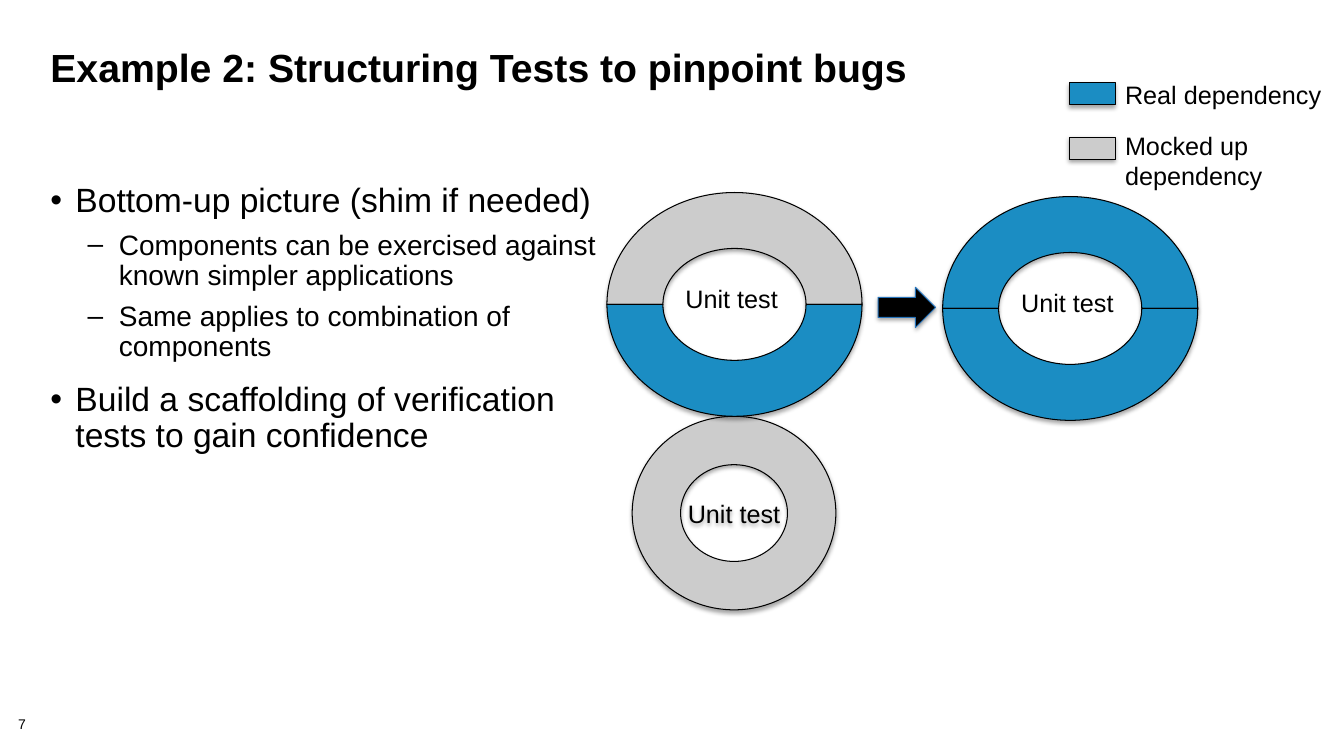
from lxml import etree
from pptx import Presentation
from pptx.dml.color import RGBColor
from pptx.enum.shapes import MSO_SHAPE
from pptx.enum.text import MSO_ANCHOR, PP_ALIGN
from pptx.oxml.ns import qn
from pptx.util import Inches, Pt

BLACK = RGBColor(0x00, 0x00, 0x00)
REAL_BLUE = RGBColor(0x1B, 0x8D, 0xC3)
MOCK_GRAY = RGBColor(0xCC, 0xCC, 0xCC)
ARROW_EDGE = RGBColor(0x26, 0x73, 0xBA)
RECTANGLE, DONUT = MSO_SHAPE.RECTANGLE, MSO_SHAPE.DONUT
BLOCK_ARC, RIGHT_ARROW = MSO_SHAPE.BLOCK_ARC, MSO_SHAPE.RIGHT_ARROW
TOP, MIDDLE = MSO_ANCHOR.TOP, MSO_ANCHOR.MIDDLE
LEFT, CENTER = PP_ALIGN.LEFT, PP_ALIGN.CENTER

RING_WIDTH, RING_HEIGHT = 2.53, 2.22
# Level: left margin, indent, bullet, size, space before
BULLET_LEVELS = [(0.25, -0.25, "•", 24, 14), (0.68, -0.31, "–", 20, 8)]
BULLETS = [
    (0, "Bottom-up picture (shim if needed)"),
    (1, "Components can be exercised against known simpler applications"),
    (1, "Same applies to combination of components"),
    (0, "Build a scaffolding of verification tests to gain confidence"),
]


def style_text(para, size, bold=False):
    for span in para.runs:
        span.font.name = "Arial"
        span.font.size = Pt(size)
        span.font.bold = bold
        span.font.color.rgb = BLACK


def add_label(page, text, left, top, width, height, size=18):
    box = page.shapes.add_textbox(Inches(left), Inches(top), Inches(width), Inches(height))
    frame = box.text_frame
    frame.word_wrap = False
    frame.text = text
    for para in frame.paragraphs:
        style_text(para, size)
    return frame


def add_shadow(shape):
    effects = etree.SubElement(shape._element.spPr, qn("a:effectLst"))
    shadow = etree.SubElement(effects, qn("a:outerShdw"), blurRad=str(Pt(3.1)),
                              dist=str(Pt(1.8)), dir="5400000", rotWithShape="0")
    color = etree.SubElement(shadow, qn("a:srgbClr"), val=str(BLACK))
    etree.SubElement(color, qn("a:alpha"), val="35000")


def add_part(page, kind, left, top, width, height, fill, edge=BLACK):
    shape = page.shapes.add_shape(kind, Inches(left), Inches(top), Inches(width), Inches(height))
    shape.fill.solid()
    shape.fill.fore_color.rgb = fill
    shape.line.color.rgb = edge
    shape.line.width = Pt(0.75)
    add_shadow(shape)
    return shape


def add_title(page, text, left, top, width, height):
    title = page.shapes.title
    title.left, title.top = Inches(left), Inches(top)
    title.width, title.height = Inches(width), Inches(height)
    frame = title.text_frame
    frame.text = text
    frame.vertical_anchor = TOP
    para = frame.paragraphs[0]
    para.alignment = LEFT
    para.line_spacing = 0.85
    style_text(para, 28, bold=True)


def add_bullets(page, left, top, width, height):
    box = page.shapes.add_textbox(Inches(left), Inches(top), Inches(width), Inches(height))
    frame = box.text_frame
    frame.word_wrap = True
    frame.text = "\n".join(text for _, text in BULLETS)
    for index, (para, (level, _)) in enumerate(zip(frame.paragraphs, BULLETS)):
        margin, indent, mark, size, space = BULLET_LEVELS[level]
        para.level = level
        para.line_spacing = 0.9
        para.space_before = Pt(space if index else 0)
        properties = para._p.get_or_add_pPr()
        properties.set("marL", str(Inches(margin)))
        properties.set("indent", str(Inches(indent)))
        etree.SubElement(properties, qn("a:buFont"), typeface="Arial")
        etree.SubElement(properties, qn("a:buChar"), char=mark)
        style_text(para, size)


def add_split_ring(page, left, top, upper_fill, lower_fill):
    """Ring of two half arcs around a unit test."""
    add_part(page, BLOCK_ARC, left, top, RING_WIDTH, RING_HEIGHT, upper_fill)
    lower = add_part(page, BLOCK_ARC, left, top, RING_WIDTH, RING_HEIGHT, lower_fill)
    # Sweep the lower half, from 0 to 180 degrees
    lower.adjustments[0], lower.adjustments[1] = 0, 108
    add_label(page, "Unit test", left + 0.68, top + 0.85, 1.13, 0.4)


def add_mocked_ring(page, left, top, width, height):
    ring = add_part(page, DONUT, left, top, width, height, MOCK_GRAY)
    frame = ring.text_frame
    frame.text = "Unit test"
    frame.vertical_anchor = MIDDLE
    frame.paragraphs[0].alignment = CENTER
    style_text(frame.paragraphs[0], 18)


def add_legend(page, left, top):
    entries = [(0, REAL_BLUE, "Real dependency", -0.08, 2.17, 0.4),
               (0.54, MOCK_GRAY, "Mocked up\ndependency", -0.12, 1.58, 0.71)]
    for offset, fill, text, rise, width, height in entries:
        add_part(page, RECTANGLE, left, top + offset, 0.45, 0.22, fill)
        add_label(page, text, left + 0.45, top + offset + rise, width, height)


def add_page_number(page, number, left, top):
    frame = add_label(page, number, left, top, 0.56, 0.16, size=10)
    frame.margin_left = frame.margin_right = frame.margin_top = frame.margin_bottom = 0
    frame.paragraphs[0].line_spacing = 0.9


def main():
    deck = Presentation()
    deck.slide_width, deck.slide_height = Inches(13.33), Inches(7.5)
    page = deck.slides.add_slide(deck.slide_layouts[5])

    # Text
    add_page_number(page, "7", 0.18, 7.12)
    add_title(page, "Example 2: Structuring Tests to pinpoint bugs", 0.4, 0.45, 12.44, 1)
    add_bullets(page, 0.4, 1.77, 5.62, 4.67)

    # Diagram: mocked parts give way to real ones
    add_mocked_ring(page, 6.27, 1.91 + RING_HEIGHT, 2.02, 1.92)
    add_split_ring(page, 6.02, 1.91, MOCK_GRAY, REAL_BLUE)
    add_legend(page, 10.61, 0.82)
    add_split_ring(page, 9.35, 1.95, REAL_BLUE, REAL_BLUE)
    add_part(page, RIGHT_ARROW, 8.71, 2.85, 0.57, 0.4, BLACK, ARROW_EDGE)

    deck.save("out.pptx")


if __name__ == "__main__":
    main()
